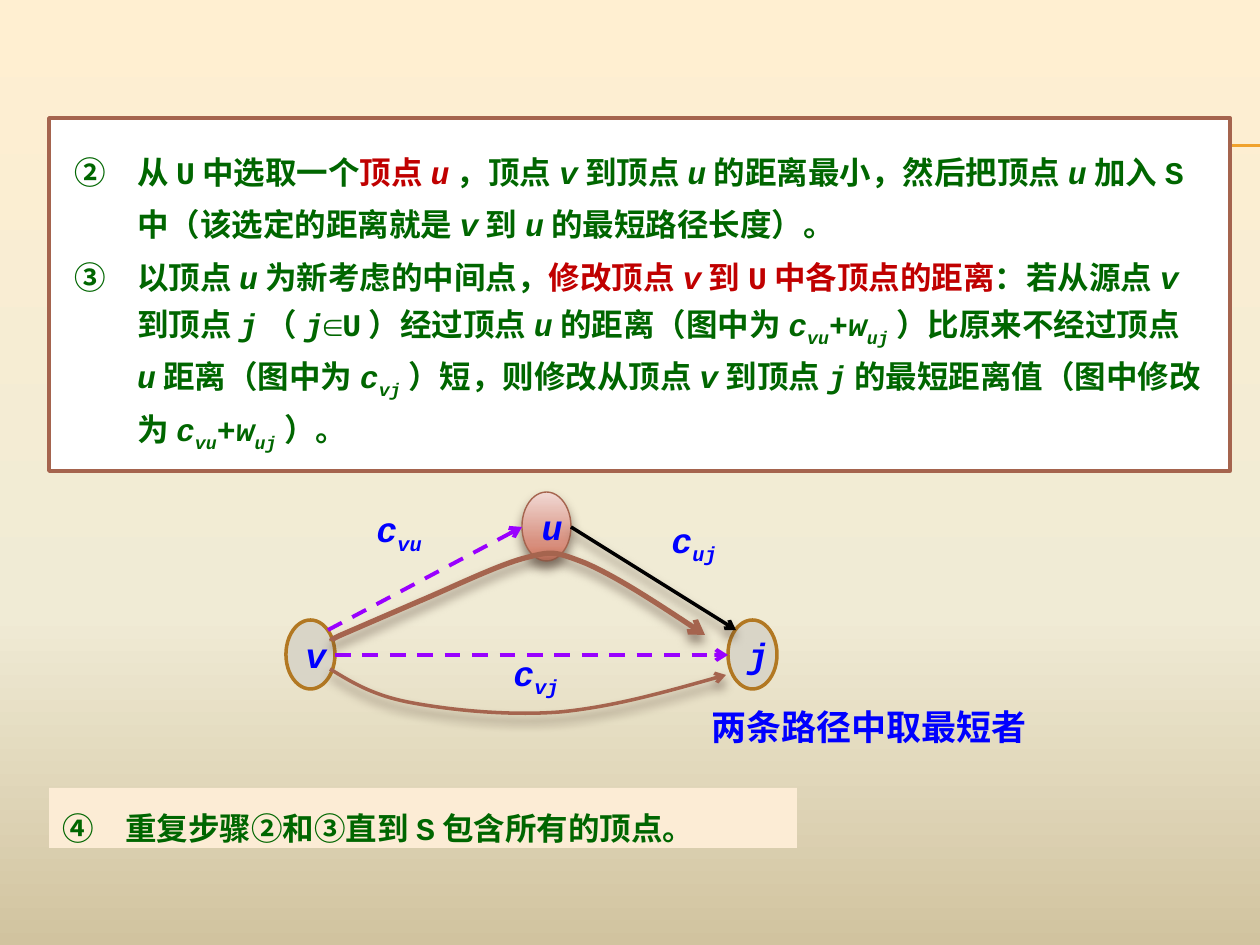
from lxml.etree import SubElement
from pptx import Presentation
from pptx.dml.color import RGBColor
from pptx.enum.dml import MSO_LINE
from pptx.enum.shapes import MSO_CONNECTOR, MSO_SHAPE
from pptx.enum.text import MSO_ANCHOR, MSO_AUTO_SIZE, PP_ALIGN
from pptx.oxml.ns import qn
from pptx.util import Emu, Pt

COLORS = {
    "rule": "F0A22E", "white": "FFFFFF", "brown": "A5644E", "green": "006600",
    "red": "C00000", "blue": "0000FF", "purple": "9900FF", "black": "000000",
    "node": "D9D5C7", "ochre": "B27822", "peach": "FCECD5", "shadow": "4E3B30",
}
BACKGROUND = [(0, "FFEFD1"), (65, "F0EBD5"), (100, "D1C39F")]
CHOSEN_NODE = [(0, "F1D9D4"), (72, "D89180"), (100, "D47A62")]
FONT = "Courier New"


def px(length):
    return Emu(round(length * 914400 / 126))


def rgb(name):
    return RGBColor.from_string(COLORS[name])


def split_marks(text):
    """Split text into (words, marks): *italic*, _subscript_, [red]."""
    pieces, marks = [], set()
    for char in text:
        mark = {"[": "red", "]": "red", "*": "italic", "_": "sub"}.get(char)
        if mark:
            marks ^= {mark}
        elif pieces and pieces[-1][1] == marks:
            pieces[-1][0] += char
        else:
            pieces.append([char, set(marks)])
    return pieces


class SlideBuilder:
    def __init__(self, slide):
        self.slide = slide
        self.shapes = slide.shapes

    def gradient(self, fill, element, stops):
        fill.gradient()
        fill.gradient_angle = 270
        stop_list = element.find(".//" + qn("a:gsLst"))
        stop_list.clear()
        for position, color in stops:
            stop = SubElement(stop_list, qn("a:gs"), pos=str(position * 1000))
            SubElement(stop, qn("a:srgbClr"), val=color)

    def outline(self, shape, color, width, dash=False, arrow=False):
        shape.line.color.rgb = rgb(color)
        shape.line.width = Pt(width)
        if dash:
            shape.line.dash_style = MSO_LINE.DASH
        if arrow:
            line = shape._element.spPr.find(qn("a:ln"))
            SubElement(line, qn("a:tailEnd"), type="arrow")

    def effects(self, shape, shadow=False):
        """Replace the theme shadow with none, or with a soft one below."""
        effect_list = SubElement(shape._element.spPr, qn("a:effectLst"))
        if shadow:
            outer = SubElement(effect_list, qn("a:outerShdw"), blurRad=str(int(Pt(6))),
                               dist=str(int(Pt(4))), dir="5400000", rotWithShape="0")
            color = SubElement(outer, qn("a:srgbClr"), val=COLORS["shadow"])
            SubElement(color, qn("a:alpha"), val="60000")

    def add_words(self, paragraph, text, size, color):
        for words, marks in split_marks(text):
            run = paragraph.add_run()
            run.text = words
            font = run.font
            font.name, font.size, font.bold = FONT, Pt(size), True
            font.italic = bool(marks & {"italic", "sub"})
            font.color.rgb = rgb("red" if "red" in marks else color)
            if "sub" in marks:
                run._r.get_or_add_rPr().set("baseline", "-25000")

    def steps(self, placeholder_idx, box, fill, start, items, inset=(13, 6)):
        panel = self.slide.placeholders[placeholder_idx]
        self.shapes._spTree.append(panel._element)  # in front of the rules
        panel.left, panel.top, panel.width, panel.height = map(px, box)
        panel.fill.solid()
        panel.fill.fore_color.rgb = rgb(fill)
        frame = panel.text_frame
        frame.auto_size = MSO_AUTO_SIZE.NONE
        frame.word_wrap = True
        frame.vertical_anchor = MSO_ANCHOR.TOP
        frame.margin_left = frame.margin_right = px(inset[0])
        frame.margin_top = frame.margin_bottom = px(inset[1])
        for number, item in enumerate(items):
            paragraph = frame.add_paragraph() if number else frame.paragraphs[0]
            paragraph.line_spacing = Pt(30)
            paragraph.space_before = Pt(0)
            self.add_words(paragraph, item, 18, "green")
            properties = paragraph._p.get_or_add_pPr()
            properties.set("marL", str(int(px(63))))
            properties.set("indent", str(int(px(-63))))
            SubElement(properties, qn("a:buAutoNum"), type="circleNumDbPlain",
                       startAt=str(start))
        return panel

    def node(self, name, left, top, chosen=False):
        node = self.shapes.add_shape(MSO_SHAPE.OVAL, px(left), px(top), px(49), px(69))
        if chosen:
            self.gradient(node.fill, node._element, CHOSEN_NODE)
            self.outline(node, "brown", 0.79)
        else:
            node.fill.solid()
            node.fill.fore_color.rgb = rgb("node")
            self.outline(node, "ochre", 2)
        self.effects(node, shadow=chosen)
        node.text_frame.vertical_anchor = MSO_ANCHOR.MIDDLE
        paragraph = node.text_frame.paragraphs[0]
        paragraph.alignment = PP_ALIGN.CENTER
        self.add_words(paragraph, f"*{name}*", 20, "blue")

    def line(self, start, end, color, width, dash=False, arrow=False, shadow=False):
        line = self.shapes.add_connector(MSO_CONNECTOR.STRAIGHT, *map(px, start + end))
        self.outline(line, color, width, dash, arrow)
        self.effects(line, shadow)

    def label(self, text, left, top, width):
        label = self.shapes.add_textbox(px(left), px(top), px(width), px(55))
        label.text_frame.word_wrap = True
        self.add_words(label.text_frame.paragraphs[0], text, 20, "blue")

    def curve(self, points, width):
        """Arrow of Bezier pieces: a start, then three points a piece."""
        builder = self.shapes.build_freeform(*points[0], scale=px(1000) / 1000)
        builder.add_line_segments(points[1:], close=False)
        curve = builder.convert_to_shape()
        segments = curve._element.findall(".//" + qn("a:lnTo"))
        route = segments[0].getparent()
        for first in range(0, len(segments), 3):
            bezier = SubElement(route, qn("a:cubicBezTo"))
            for segment in segments[first:first + 3]:
                bezier.append(segment[0])
                route.remove(segment)
        curve.fill.background()
        self.outline(curve, "brown", width, arrow=True)
        self.effects(curve, shadow=True)


def main():
    deck = Presentation()
    deck.slide_width, deck.slide_height = px(1260), px(945)
    slide = deck.slides.add_slide(deck.slide_layouts[3])
    title = slide.shapes.title._element
    title.getparent().remove(title)
    page = SlideBuilder(slide)
    page.gradient(slide.background.fill, slide.element, BACKGROUND)

    # Double rule at the top
    for y in (145, 146):
        page.line((71, y), (1260, y), "rule", 0.75)

    # Steps 2 and 3
    main_steps = page.steps(1, (49, 118, 1181, 353), "white", 2, [
        "从U中选取一个[顶点*u*]，顶点*v*到顶点*u*的距离最小，然后把顶点*u*加入S中"
        "（该选定的距离就是*v*到*u*的最短路径长度）。",
        "以顶点*u*为新考虑的中间点，[修改顶点*v*到U中各顶点的距离]：若从源点*v*"
        "到顶点*j*（*j*∈U）经过顶点*u*的距离（图中为*c*_vu_+*w*_uj_）比原来不经过顶点"
        "*u*距离（图中为*c*_vj_）短，则修改从顶点*v*到顶点*j*的最短距离值"
        "（图中修改为*c*_vu_+*w*_uj_）。",
    ], inset=(25, 20))
    page.outline(main_steps, "brown", 2)

    # Graph nodes and edges
    page.node("u", 522, 492, chosen=True)
    page.node("v", 286, 620)
    page.node("j", 728, 620)
    page.line((335, 655), (728, 655), "purple", 2.25, dash=True, arrow=True)
    page.line((571, 527), (736, 630), "black", 2, arrow=True, shadow=True)
    page.line((328, 630), (522, 527), "purple", 2.25, dash=True, arrow=True)

    # Edge weights
    for ends, left, top in (("vu", 364, 501), ("vj", 501, 645), ("uj", 659, 512)):
        page.label(f"*c*_{ends}_", left, top, 79)

    # The two candidate paths from v to j
    page.curve([(332, 640), (329, 641), (339, 636), (339, 636),
                (339, 636), (420, 601), (420, 601),
                (451, 588), (498, 565), (525, 558),
                (552, 551), (554, 551), (585, 563),
                (615, 576), (660, 605), (705, 635)], 3)
    page.curve([(330, 669), (353, 683), (374, 696), (413, 703),
                (451, 710), (508, 716), (560, 712),
                (612, 707), (669, 691), (726, 675)], 2)
    page.label("两条路径中取最短者", 699, 699, 344)

    # Step 4
    page.steps(2, (49, 788, 748, 60), "peach", 4,
               ["重复步骤②和③直到S包含所有的顶点。"])

    deck.save("out.pptx")


if __name__ == "__main__":
    main()
